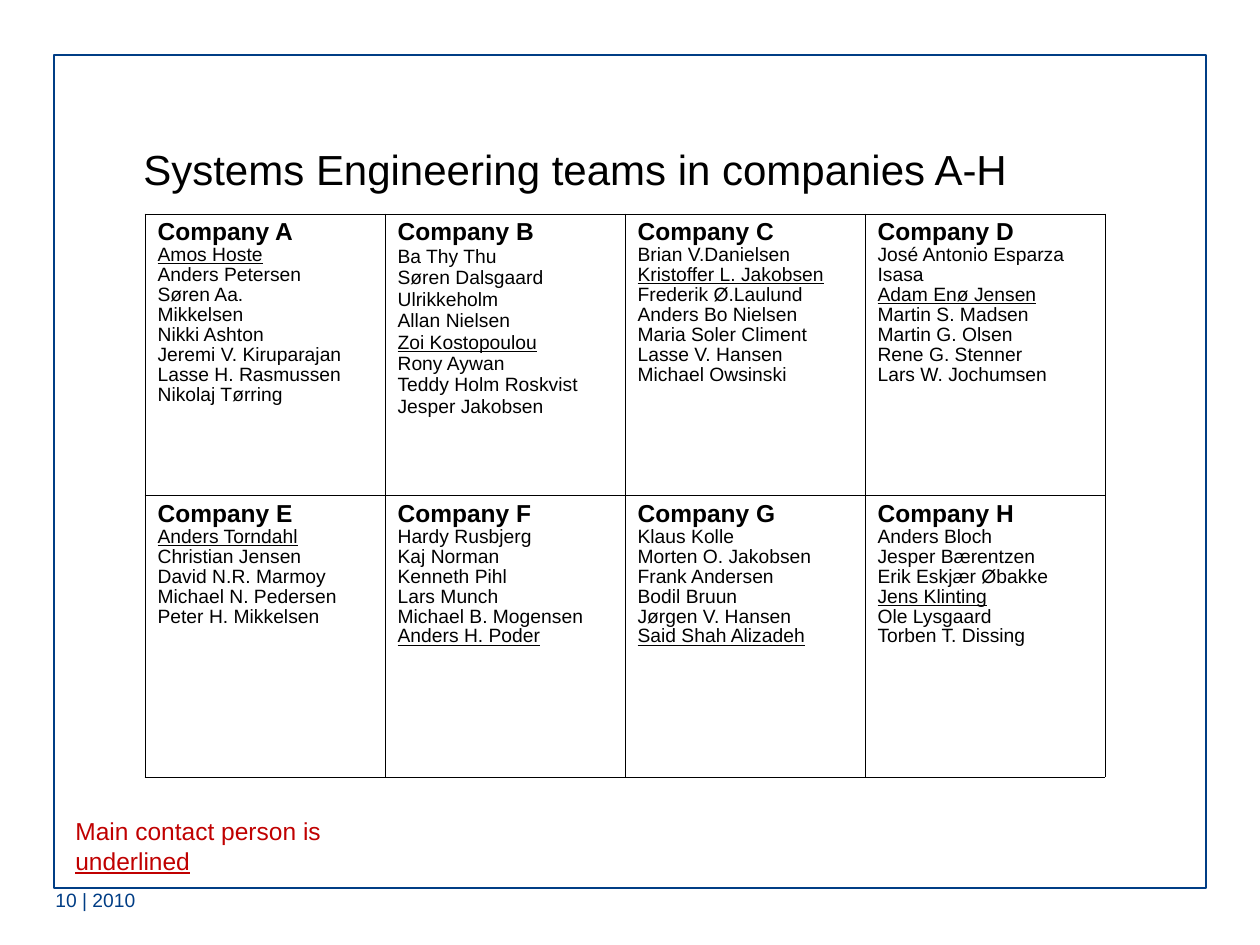
from lxml.etree import SubElement
from pptx import Presentation
from pptx.dml.color import RGBColor
from pptx.enum.shapes import MSO_SHAPE
from pptx.enum.text import MSO_ANCHOR
from pptx.oxml.ns import qn
from pptx.util import Emu, Pt

FONT = "Arial"
BLACK, WHITE, BLUE, RED = "000000", "FFFFFF", "003D85", "C00000"
COLUMNS = 4

# Company letter, names, main contact, line spacing of the names
TEAMS = [
    ("A", ["Amos Hoste", "Anders Petersen", "Søren Aa.\vMikkelsen", "Nikki Ashton",
           "Jeremi V. Kiruparajan", "Lasse H. Rasmussen", "Nikolaj Tørring"],
     "Amos Hoste", 0.93),
    ("B", ["Ba Thy Thu", "Søren Dalsgaard Ulrikkeholm", "Allan Nielsen", "Zoi Kostopoulou",
           "Rony Aywan", "Teddy Holm Roskvist", "Jesper Jakobsen"],
     "Zoi Kostopoulou", 1.0),
    ("C", ["Brian V.Danielsen", "Kristoffer L. Jakobsen", "Frederik Ø.Laulund",
           "Anders Bo Nielsen", "Maria Soler Climent", "Lasse V. Hansen", "Michael Owsinski"],
     "Kristoffer L. Jakobsen", 0.93),
    ("D", ["José Antonio Esparza Isasa", "Adam Enø Jensen", "Martin S. Madsen",
           "Martin G. Olsen", "Rene G. Stenner", "Lars W. Jochumsen"],
     "Adam Enø Jensen", 0.93),
    ("E", ["Anders Torndahl", "Christian Jensen", "David N.R. Marmoy",
           "Michael N. Pedersen", "Peter H. Mikkelsen"],
     "Anders Torndahl", 0.93),
    ("F", ["Hardy Rusbjerg", "Kaj Norman", "Kenneth Pihl", "Lars Munch",
           "Michael B. Mogensen", "Anders H. Poder"],
     "Anders H. Poder", 0.93),
    ("G", ["Klaus Kolle", "Morten O. Jakobsen", "Frank Andersen", "Bodil Bruun",
           "Jørgen V. Hansen", "Said Shah Alizadeh"],
     "Said Shah Alizadeh", 0.93),
    ("H", ["Anders Bloch", "Jesper Bærentzen", "Erik Eskjær Øbakke", "Jens Klinting",
           "Ole Lysgaard", "Torben T. Dissing"],
     "Jens Klinting", 0.93),
]


def px(length):
    return Emu(round(length * 914400 / 126))


def color(value):
    return RGBColor.from_string(value)


def format_runs(paragraph, size, font_color, bold=False, underline=False):
    for run in paragraph.runs:
        run.font.name = FONT
        run.font.size = Pt(size)
        run.font.color.rgb = color(font_color)
        run.font.bold = bold
        run.font.underline = underline


def add_frame(slide, left, top, width, height):
    frame = slide.shapes.add_shape(MSO_SHAPE.RECTANGLE, px(left), px(top), px(width), px(height))
    frame.shadow.inherit = False
    frame.fill.background()
    frame.line.color.rgb = color(BLUE)
    frame.line.width = Pt(0.75)


def add_text(slide, left, top, width, height, text, size, font_color,
             anchor=MSO_ANCHOR.TOP, wrap=True):
    box = slide.shapes.add_textbox(px(left), px(top), px(width), px(height))
    box.text_frame.word_wrap = wrap
    box.text_frame.vertical_anchor = anchor
    box.text_frame.text = text
    paragraph = box.text_frame.paragraphs[0]
    format_runs(paragraph, size, font_color)
    return paragraph


def add_borders(cell):
    properties = cell._tc.get_or_add_tcPr()
    for side in ("a:lnL", "a:lnR", "a:lnT", "a:lnB"):
        line = SubElement(properties, qn(side), w=str(Pt(0.45)))
        fill = SubElement(line, qn("a:solidFill"))
        SubElement(fill, qn("a:srgbClr"), val=BLACK)


def fill_team_cell(cell, letter, names, contact, spacing):
    add_borders(cell)
    cell.fill.solid()
    cell.fill.fore_color.rgb = color(WHITE)
    cell.text_frame.text = "\n".join([f"Company {letter}"] + names)
    heading, *members = cell.text_frame.paragraphs
    heading.line_spacing = 0.93
    format_runs(heading, 14, BLACK, bold=True)
    for name, paragraph in zip(names, members):
        paragraph.line_spacing = spacing
        format_runs(paragraph, 11, BLACK, underline=name == contact)


def add_team_table(slide, left, top, width, height):
    rows = len(TEAMS) // COLUMNS
    table = slide.shapes.add_table(rows, COLUMNS, px(left), px(top), px(width), px(height)).table
    table.first_row = False
    table.horz_banding = False
    for index, team in enumerate(TEAMS):
        fill_team_cell(table.cell(*divmod(index, COLUMNS)), *team)


def main():
    presentation = Presentation()
    presentation.slide_width, presentation.slide_height = px(1260), px(945)
    slide = presentation.slides.add_slide(presentation.slide_layouts[6])

    # Frame and title
    add_frame(slide, 54, 55, 1152, 833)
    add_text(slide, 131, 110, 1134, 117, "Systems Engineering teams in companies A-H",
             24, BLACK, anchor=MSO_ANCHOR.MIDDLE)

    # Teams
    add_team_table(slide, 145, 214, 960, 563)

    # Footer and note on contacts
    add_text(slide, 43, 882, 294, 66, "10 | 2010", 11, BLUE)
    note = add_text(slide, 63, 810, 392, 43, "Main contact person is ", 14, RED, wrap=False)
    note.add_run().text = "underlined"
    format_runs(note, 14, RED)
    note.runs[-1].font.underline = True

    presentation.save("out.pptx")


if __name__ == "__main__":
    main()
